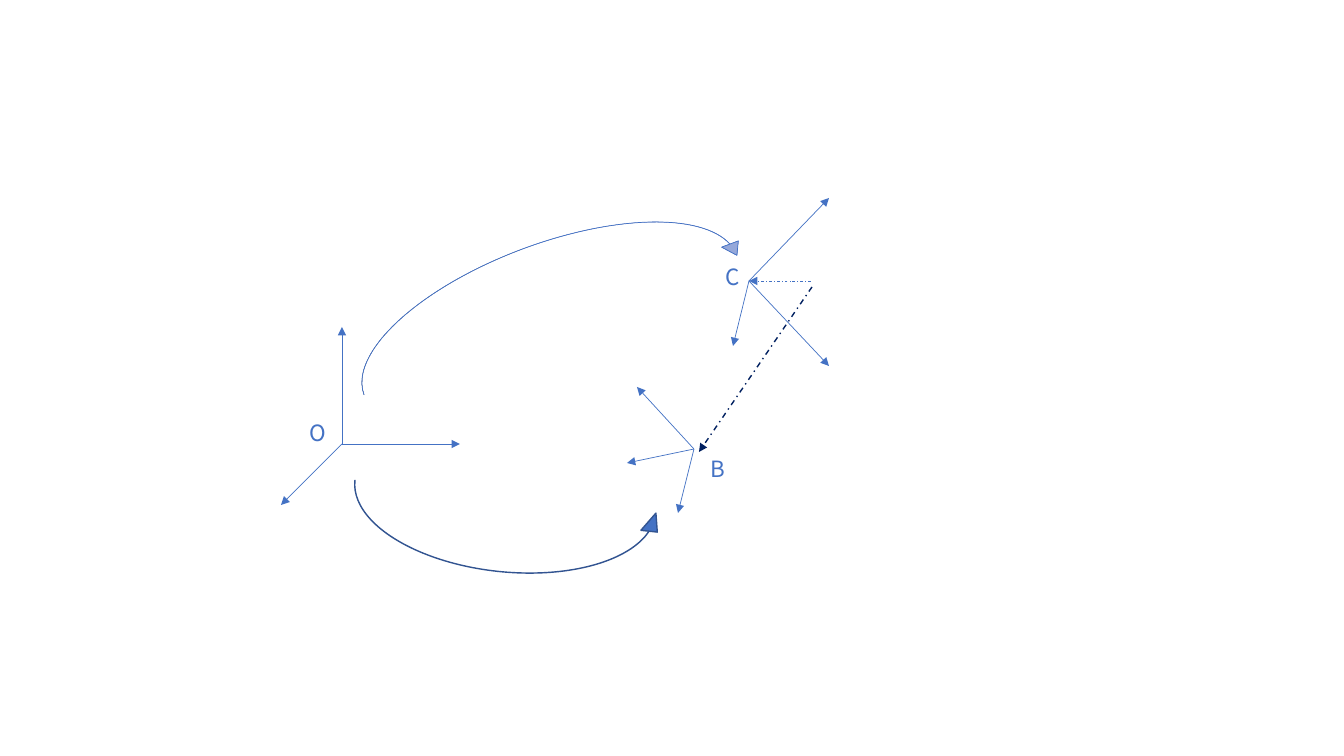
from dataclasses import dataclass

from lxml.etree import SubElement
from pptx import Presentation
from pptx.dml.color import RGBColor
from pptx.enum.dml import MSO_LINE
from pptx.enum.shapes import MSO_CONNECTOR, MSO_SHAPE
from pptx.enum.text import MSO_AUTO_SIZE
from pptx.oxml.ns import qn
from pptx.util import Pt

EMU_PER_PX = 914400 / 100.8


def px(length):
    return round(length * EMU_PER_PX)


@dataclass(frozen=True)
class Theme:
    blue: RGBColor = RGBColor(0x44, 0x72, 0xC4)
    navy: RGBColor = RGBColor(0x00, 0x20, 0x60)
    outline: RGBColor = RGBColor(0x32, 0x54, 0x91)
    pale_top: RGBColor = RGBColor(0xA8, 0xB7, 0xDF)
    pale_bottom: RGBColor = RGBColor(0x88, 0x9E, 0xD7)
    font: str = "Noto Sans CJK SC"
    label_size: Pt = Pt(16)
    thin: Pt = Pt(0.5)
    thick: Pt = Pt(1)


class Diagram:
    def __init__(self, slide, theme):
        self.slide = slide
        self.theme = theme

    def arrow(self, start, end, color=None, width=None, dash=None):
        connector = self.slide.shapes.add_connector(
            MSO_CONNECTOR.STRAIGHT, *map(px, (*start, *end)))
        line = connector.line
        line.color.rgb = color or self.theme.blue
        line.width = width or self.theme.thin
        if dash:
            line.dash_style = dash
        properties = connector._element.spPr
        SubElement(line._get_or_add_ln(), qn("a:tailEnd"), type="triangle")
        SubElement(properties, qn("a:effectLst"))

    def frame(self, origin, tips):
        for tip in tips:
            self.arrow(origin, tip)

    def label(self, text, left, top, width):
        box = self.slide.shapes.add_textbox(px(left), px(top), px(width), px(37))
        text_frame = box.text_frame
        text_frame.word_wrap = True
        text_frame.auto_size = MSO_AUTO_SIZE.SHAPE_TO_FIT_TEXT
        paragraph = text_frame.paragraphs[0]
        paragraph.text = text
        paragraph.font.name = self.theme.font
        paragraph.font.size = self.theme.label_size
        paragraph.font.color.rgb = self.theme.blue

    def curved_arrow(self, kind, bounds, rotation, adjustments, colors, line_color, line_width):
        shape = self.slide.shapes.add_shape(kind, *map(px, bounds))
        shape.shadow.inherit = False
        shape.rotation = rotation
        for index, value in enumerate(adjustments):
            shape.adjustments[index] = value
        if len(colors) == 1:
            shape.fill.solid()
            shape.fill.fore_color.rgb = colors[0]
        else:
            shape.fill.gradient()
            shape.fill.gradient_angle = 270
            for stop, color in zip(shape.fill.gradient_stops, colors):
                stop.color.rgb = color
        shape.line.color.rgb = line_color
        shape.line.width = line_width


def main():
    presentation = Presentation()
    presentation.slide_width, presentation.slide_height = px(1344), px(756)
    slide = presentation.slides.add_slide(presentation.slide_layouts[6])
    theme = Theme()
    diagram = Diagram(slide, theme)

    # Frame O
    diagram.frame((342, 444), [(460, 444), (342, 327), (281, 505)])
    diagram.label("O", 300, 414, 48)

    # Frame C
    origin_c = (749, 281)
    diagram.frame(origin_c, [(829, 366), (829, 198), (733, 346)])
    diagram.label("C", 716, 258, 32)

    # Transform from O to C
    diagram.curved_arrow(MSO_SHAPE.CURVED_DOWN_ARROW, (337, 245, 407, 81), 339.5,
                         (0, 0.22, 0.16), (theme.pale_top, theme.pale_bottom),
                         theme.blue, theme.thin)

    # Dashed arrows to B and C
    diagram.arrow((812, 287), (699, 452), theme.navy, theme.thick, MSO_LINE.DASH_DOT)
    diagram.arrow((811, 281), origin_c, dash=MSO_LINE.DASH_DOT)

    # Frame B
    diagram.frame((694, 449), [(627, 463), (637, 387), (678, 513)])
    diagram.label("B", 701, 450, 32)

    # Transform from O to B
    diagram.curved_arrow(MSO_SHAPE.CURVED_UP_ARROW, (350, 497, 311, 75), 6.2,
                         (0, 0.22, 0.25), (theme.blue,), theme.outline, theme.thick)

    presentation.save("out.pptx")


if __name__ == "__main__":
    main()
